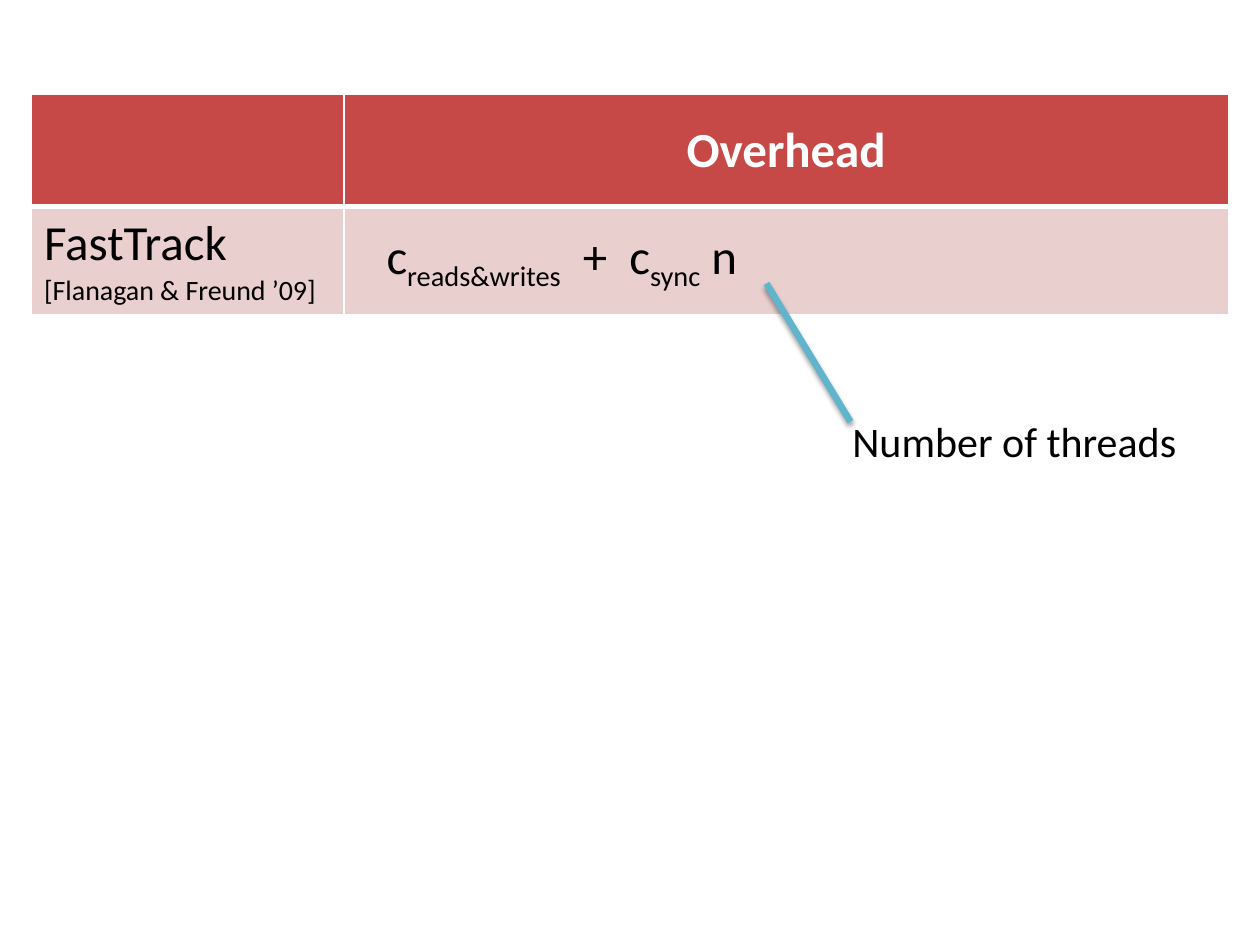
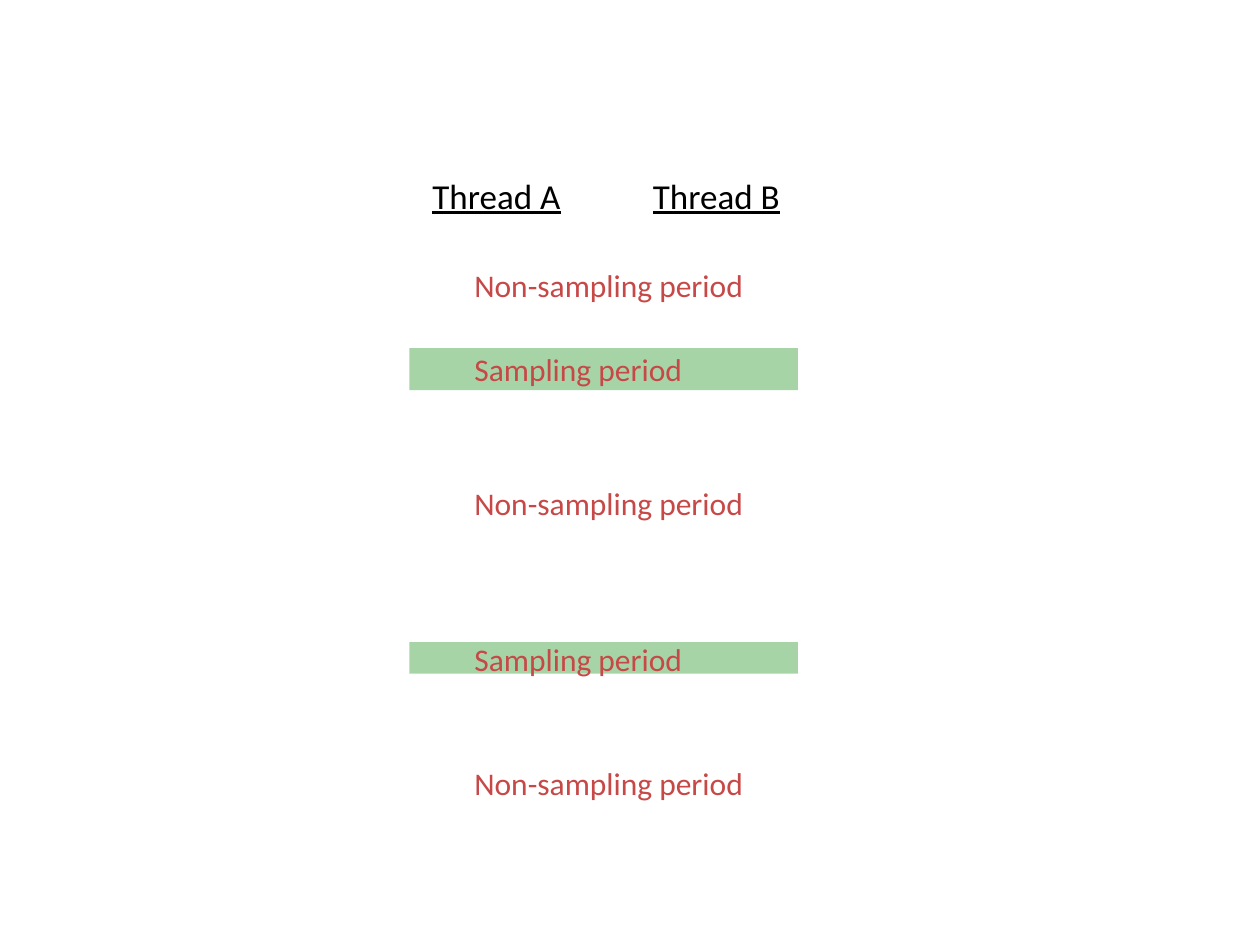
from dataclasses import dataclass
from typing import Optional

from lxml import etree
from pptx import Presentation
from pptx.dml.color import RGBColor
from pptx.enum.shapes import MSO_CONNECTOR, MSO_SHAPE
from pptx.enum.text import MSO_ANCHOR, MSO_AUTO_SIZE, PP_ALIGN
from pptx.oxml.ns import qn
from pptx.util import Pt

STRAIGHT = MSO_CONNECTOR.STRAIGHT
RECTANGLE = MSO_SHAPE.RECTANGLE
MIDDLE = MSO_ANCHOR.MIDDLE
GROW = MSO_AUTO_SIZE.SHAPE_TO_FIT_TEXT
LEFT = PP_ALIGN.LEFT
CENTER = PP_ALIGN.CENTER

FONT = "Calibri"
RED = "C64847"
PINK = "EACFCF"
GREEN = "A6D4A7"
BLUE = "60B5CC"
BLACK = "000000"
WHITE = "FFFFFF"


@dataclass(frozen=True)
class Piece:
    text: str
    size: float
    color: str = BLACK
    bold: bool = False
    underline: bool = False
    subscript: bool = False
    spacing: float = 0


@dataclass(frozen=True)
class Cell:
    lines: list[list[Piece]]
    fill: str
    borders: dict[str, float]
    align: PP_ALIGN = LEFT
    margin_left: float = 7.2


@dataclass(frozen=True)
class Label:
    piece: Piece
    left: float
    top: float
    width: float
    height: float


@dataclass(frozen=True)
class Period:
    name: str
    top: float
    width: float
    band_top: Optional[float] = None
    band_height: float = 0


def rgb(value: str) -> RGBColor:
    return RGBColor.from_string(value)


def apply(target, values: dict) -> None:
    for name, value in values.items():
        setattr(target, name, value)


def add_color(parent, value: str):
    color = etree.SubElement(parent, qn("a:srgbClr"))
    color.set("val", value)
    return color


def write_line(paragraph, pieces: list[Piece]) -> None:
    for piece in pieces:
        run = paragraph.add_run()
        run.text = piece.text
        apply(run.font, {"name": FONT, "size": Pt(piece.size),
                         "bold": piece.bold, "underline": piece.underline})
        run.font.color.rgb = rgb(piece.color)
        properties = run._r.get_or_add_rPr()
        if piece.subscript:
            properties.set("baseline", "-25000")
        if piece.spacing:
            properties.set("spc", str(round(piece.spacing * 100)))


def draw_label(slide, label: Label) -> None:
    box = slide.shapes.add_textbox(Pt(label.left), Pt(label.top),
                                   Pt(label.width), Pt(label.height))
    apply(box.text_frame, {"word_wrap": True, "auto_size": GROW})
    write_line(box.text_frame.paragraphs[0], [label.piece])


def fill_cell(target, cell: Cell) -> None:
    apply(target, {"vertical_anchor": MIDDLE,
                   "margin_left": Pt(cell.margin_left), "margin_right": Pt(7.2),
                   "margin_top": Pt(3.6), "margin_bottom": Pt(3.6)})
    properties = target._tc.get_or_add_tcPr()
    for side, width in cell.borders.items():
        border = etree.SubElement(properties, qn(f"a:ln{side}"))
        border.set("w", str(Pt(width)))
        add_color(etree.SubElement(border, qn("a:solidFill")), WHITE)
    target.fill.solid()
    target.fill.fore_color.rgb = rgb(cell.fill)
    frame = target.text_frame
    for index, pieces in enumerate(cell.lines):
        paragraph = frame.add_paragraph() if index else frame.paragraphs[0]
        paragraph.alignment = cell.align
        write_line(paragraph, pieces)


def draw_table(slide, rows: list[list[Cell]], widths: list[float],
               heights: list[float], left: float, top: float) -> None:
    table = slide.shapes.add_table(len(rows), len(widths), Pt(left), Pt(top),
                                   Pt(sum(widths)), Pt(sum(heights))).table
    for column, width in zip(table.columns, widths):
        column.width = Pt(width)
    for row, height, cells in zip(table.rows, heights, rows):
        row.height = Pt(height)
        for target, cell in zip(row.cells, cells):
            fill_cell(target, cell)


def draw_pointer(slide, start: tuple[float, float], end: tuple[float, float]) -> None:
    points = [Pt(value) for value in (*start, *end)]
    pointer = slide.shapes.add_connector(STRAIGHT, *points)
    pointer.line.color.rgb = rgb(BLUE)
    pointer.line.width = Pt(3.8)
    effects = etree.SubElement(pointer._element.spPr, qn("a:effectLst"))
    shadow = etree.SubElement(effects, qn("a:outerShdw"))
    settings = {"blurRad": Pt(3.1), "dist": Pt(2), "dir": 5400000, "rotWithShape": 0}
    for name, value in settings.items():
        shadow.set(name, str(value))
    alpha = etree.SubElement(add_color(shadow, BLACK), qn("a:alpha"))
    alpha.set("val", "38000")


def draw_band(slide, top: float, height: float) -> None:
    band = slide.shapes.add_shape(RECTANGLE, Pt(234), Pt(top), Pt(222), Pt(height))
    band.shadow.inherit = False
    band.fill.solid()
    band.fill.fore_color.rgb = rgb(GREEN)
    band.line.fill.background()


def draw_period(slide, period: Period) -> None:
    if period.band_top is not None:
        draw_band(slide, period.band_top, period.band_height)
    draw_label(slide, Label(Piece(period.name, 18, RED), 264, period.top,
                            period.width, 29))


def build_overhead(slide) -> None:
    header_borders = {"L": 1, "R": 1, "T": 1, "B": 3}
    body_borders = {"L": 1, "R": 1, "T": 3, "B": 1}
    gap = Piece(" ", 28, spacing=6.33)
    cost = [Piece("c", 28), Piece("reads&writes", 28, subscript=True),
            gap, Piece("+", 28), gap,
            Piece("c", 28), Piece("sync", 28, subscript=True), Piece(" n", 28)]
    detector = [[Piece("FastTrack", 28)], [Piece("[Flanagan & Freund ’09]", 16)]]
    heading = [[Piece("Overhead", 28, WHITE, bold=True)]]
    rows = [
        [Cell([], RED, header_borders), Cell(heading, RED, header_borders, CENTER)],
        [Cell(detector, PINK, body_borders),
         Cell([cost], PINK, body_borders, margin_left=24.4)],
    ]
    draw_table(slide, rows, [178.5, 505.5], [64, 62], 18, 54)
    draw_pointer(slide, (438, 162), (486, 241))
    draw_label(slide, Label(Piece("Number of threads", 24), 480, 234, 204, 36))


def build_sampling(slide) -> None:
    for index, thread in enumerate("AB"):
        heading = Piece(f"Thread {thread}", 20, underline=True)
        draw_label(slide, Label(heading, 240 + index * 126, 96, 96, 31.5))
    periods = [
        Period("Non-sampling period", 148.5, 174),
        Period("Sampling period", 196.5, 150, 198.9, 24),
        Period("Non-sampling period", 273, 180),
        Period("Sampling period", 362, 168, 366.9, 18),
        Period("Non-sampling period", 433, 180),
    ]
    for period in periods:
        draw_period(slide, period)


def main() -> None:
    deck = Presentation()
    apply(deck, {"slide_width": Pt(720), "slide_height": Pt(540)})
    blank = deck.slide_layouts[6]
    for build in (build_overhead, build_sampling):
        build(deck.slides.add_slide(blank))
    deck.save("out.pptx")


if __name__ == "__main__":
    main()
